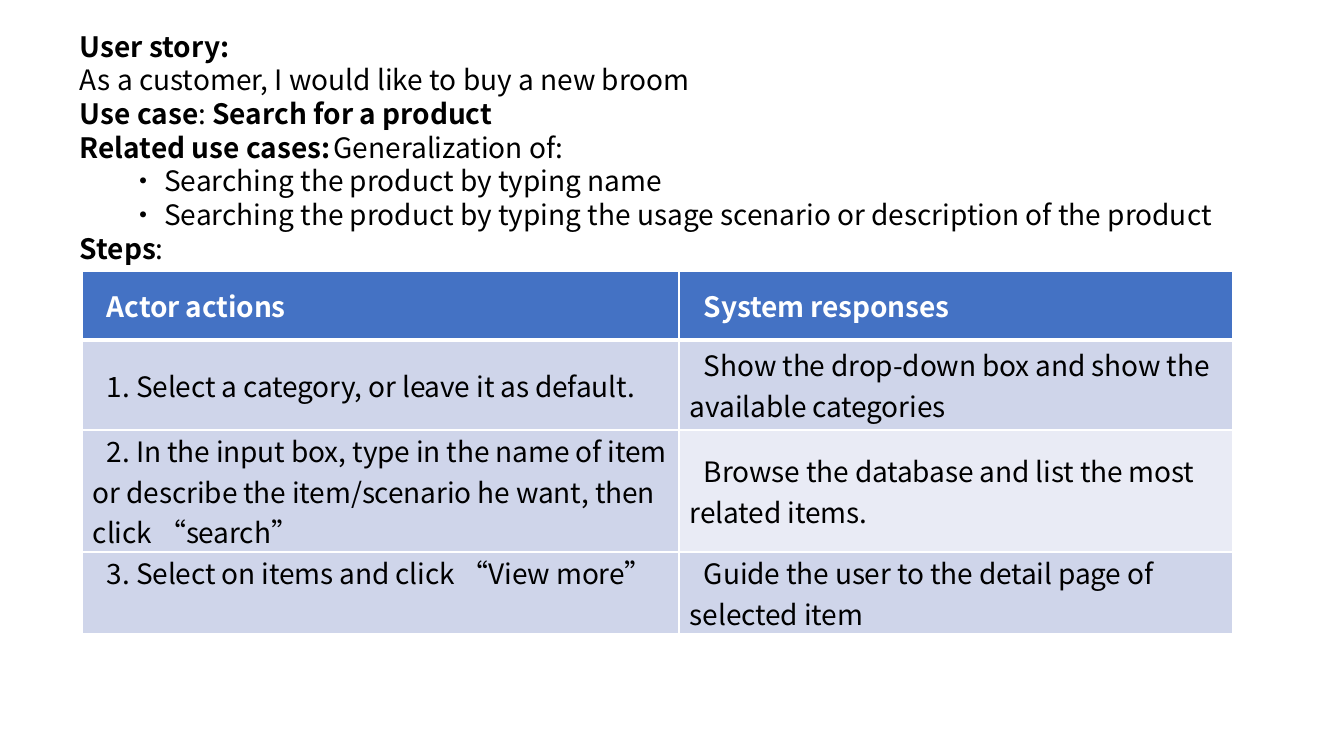
"""Build a use case slide with a story block above a table of steps."""
from lxml import etree
from pptx import Presentation
from pptx import util as u
from pptx.dml.color import RGBColor
from pptx.enum import text
from pptx.oxml.ns import qn

PX = 914400 / 100.8
FONT = "Noto Sans CJK SC"
HUES = {"head": "4472C4", "band": "CFD5EA", "pale": "E9EBF5",
        "ink": "000000", "white": "FFFFFF"}
STORY = [
    (0, [("User story:", True)]),
    (0, [("As a customer, I would like to buy a new broom", False)]),
    (0, [("Use case", True), (": ", False), ("Search for a product", True)]),
    (0, [("Related use cases:", True), (" ", False, 10),
         ("Generalization of:", False)]),
    (1, [("• Searching the product by typing name", False)]),
    (1, [("• Searching the product by typing the usage scenario "
          "or description of the product", False)]),
    (0, [("Steps", True), (":", False)]),
]
STEPS = [
    ("Actor actions", "System responses"),
    ("1. Select a category, or leave it as default.",
     "Show the drop-down box and show the available categories"),
    ("2. In the input box, type in the name of item or describe the "
     "item/scenario he want, then click “search”",
     "Browse the database and list the most related items."),
    ("3. Select on items and click “View more”",
     "Guide the user to the detail page of selected item"),
]


def px(n):
    """Turn pixels into EMU."""
    return u.Emu(round(n * PX))


def add_run(para, words, bold, size=20, hue="ink"):
    """Add one run in the slide font, for Latin and East Asian glyphs."""
    run = para.add_run()
    run.text = words
    font = run.font
    font.name, font.size, font.bold = FONT, u.Pt(size), bold
    font.color.rgb = RGBColor.from_string(HUES[hue])
    etree.SubElement(run._r.get_or_add_rPr(), qn("a:ea"), typeface=FONT)
    return run


def indent(para, left=0):
    """Set the left margin and the first line indent."""
    props = para._p.get_or_add_pPr()
    props.set("marL", str(px(left)))
    props.set("indent", str(px(14)))


def add_edges(cell, widths):
    """Draw white cell borders in the order left, right, top, bottom."""
    props = cell._tc.get_or_add_tcPr()
    for i, (side, width) in enumerate(zip("LRTB", widths)):
        line = etree.Element(qn("a:ln" + side), w=str(u.Pt(width)))
        fill = etree.SubElement(line, qn("a:solidFill"))
        etree.SubElement(fill, qn("a:srgbClr"), val=HUES["white"])
        props.insert(i, line)


def add_story(slide, x, y, w, h):
    """Write the story and use case lines in the given box."""
    frame = slide.shapes.add_textbox(px(x), px(y), px(w), px(h)).text_frame
    frame.word_wrap = True
    frame.vertical_anchor = text.MSO_ANCHOR.MIDDLE
    for i, (level, runs) in enumerate(STORY):
        para = frame.add_paragraph() if i else frame.paragraphs[0]
        para.level = level
        para.alignment = text.PP_ALIGN.JUSTIFY
        para.line_spacing = u.Pt(24)
        indent(para, 50 * level)
        for run in runs:
            add_run(para, *run)


def fill_cell(cell, words, row, col):
    """Write and paint one table cell."""
    head = row == 0
    hue = "head" if head else "pale" if (row, col) == (2, 1) else "band"
    cell.fill.solid()
    cell.fill.fore_color.rgb = RGBColor.from_string(HUES[hue])
    cell.margin_left = cell.margin_right = px(11)
    cell.margin_top = cell.margin_bottom = 0
    top = (row, col) == (3, 0)
    cell.vertical_anchor = text.MSO_ANCHOR.TOP if top else text.MSO_ANCHOR.MIDDLE
    para = cell.text_frame.paragraphs[0]
    indent(para)
    run = add_run(para, words, head, hue="white" if head else "ink")
    run._r.get_or_add_rPr().set("spc", "-10")
    add_edges(cell, (1, 1, 3 if row == 1 else 1, 3 if head else 1))


def add_steps(slide, x, y, cols, rows):
    """Lay out the table of steps from its column and row sizes."""
    table = slide.shapes.add_table(len(rows), len(cols), px(x), px(y),
                                   px(sum(cols)), px(sum(rows))).table
    for col, width in zip(table.columns, cols):
        col.width = px(width)
    for r, (height, line) in enumerate(zip(rows, STEPS)):
        table.rows[r].height = px(height)
        for c, words in enumerate(line):
            fill_cell(table.cell(r, c), words, r, c)


def main():
    """Build and save the slide."""
    deck = Presentation()
    deck.slide_width, deck.slide_height = px(1344), px(756)
    slide = deck.slides.add_slide(deck.slide_layouts[6])
    add_steps(slide, 82, 271, (597, 554), (69, 90, 122, 81))
    add_story(slide, 56, 23, 1237, 248)
    deck.save("out.pptx")


main()
